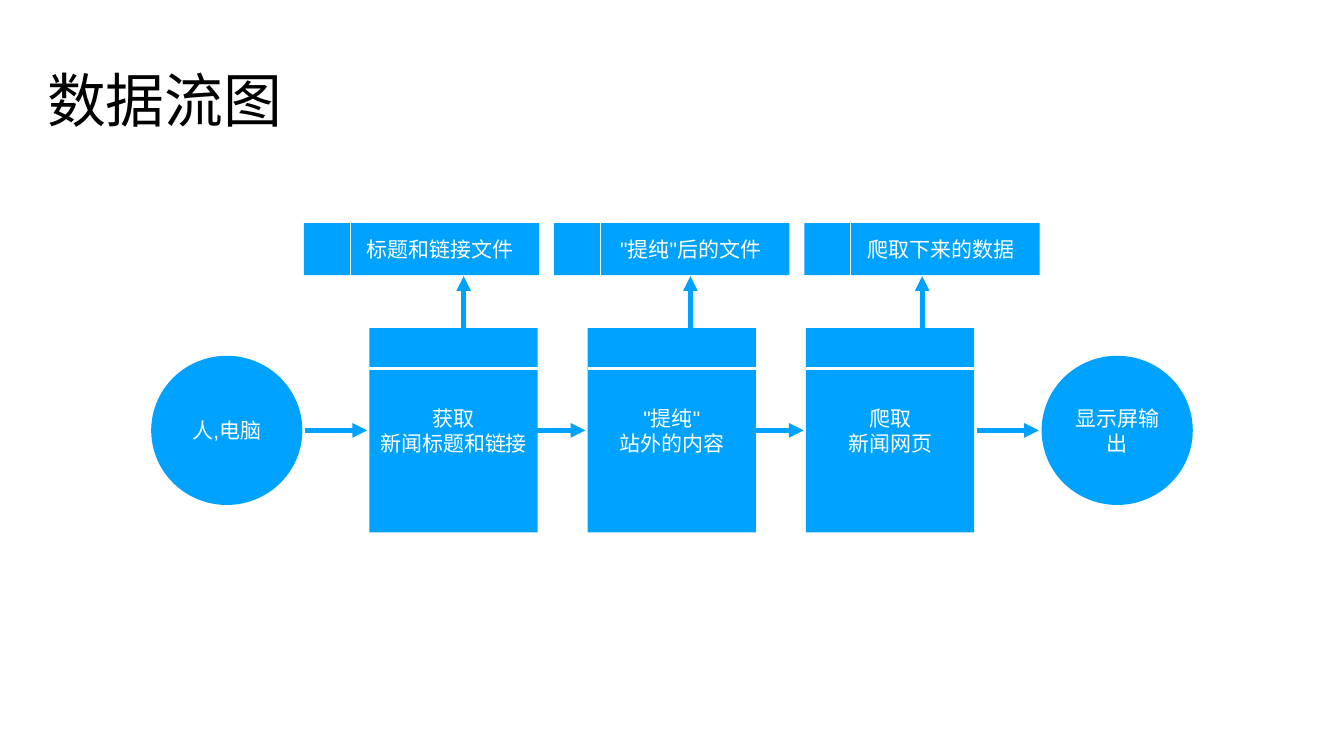
from lxml import etree
from pptx import Presentation
from pptx.dml.color import RGBColor
from pptx.enum.shapes import MSO_CONNECTOR, MSO_SHAPE
from pptx.enum.text import MSO_ANCHOR, MSO_AUTO_SIZE, PP_ALIGN
from pptx.oxml.ns import qn
from pptx.util import Cm, Pt

LINE = MSO_CONNECTOR.STRAIGHT
RECT, OVAL = MSO_SHAPE.RECTANGLE, MSO_SHAPE.OVAL
MIDDLE, CENTER = MSO_ANCHOR.MIDDLE, PP_ALIGN.CENTER
FIXED = MSO_AUTO_SIZE.NONE

COLORS = {"blue": "00A2FF", "white": "FFFFFF", "black": "000000"}
FONT = "Arial"
PAD = 0.2

STEPS = ["获取\n新闻标题和链接", "\"提纯\"\n站外的内容", "爬取\n新闻网页"]
FILES = ["标题和链接文件", "\"提纯\"后的文件", "爬取下来的数据"]
ENDS = [("人,电脑", 7.62), ("显示屏输出", 52.5)]
FLOWS = [15.37, 26.37, 37.37, 49.23]
SAVES = [23.37, 34.8, 46.48]


def color(name):
    """Return a palette colour."""
    return RGBColor.from_string(COLORS[name])


def write(shape, text, size, tint, left=PAD, wrap=True):
    """Write centred text into a shape."""
    frame = shape.text_frame
    frame.text = text
    frame.auto_size = FIXED
    frame.word_wrap = wrap
    frame.vertical_anchor = MIDDLE
    frame.margin_left = Cm(left)
    frame.margin_right = frame.margin_top = frame.margin_bottom = Cm(PAD)
    for para in frame.paragraphs:
        para.alignment = CENTER
        para.font.name = FONT
        para.font.size = Pt(size)
        para.font.color.rgb = color(tint)


def add_title(slide, text):
    """Place and fill the title."""
    title = slide.shapes.title
    title.left, title.top = Cm(2.16), Cm(2.69)
    title.width, title.height = Cm(12.29), Cm(4.57)
    write(title, text, 84, "black", wrap=False)


def add_block(slide, kind, text, x, y, w, h, left=PAD):
    """Add a blue shape with white text."""
    shape = slide.shapes.add_shape(kind, Cm(x), Cm(y), Cm(w), Cm(h))
    shape.shadow.inherit = False
    shape.fill.solid()
    shape.fill.fore_color.rgb = color("blue")
    shape.line.fill.background()
    write(shape, text, 30, "white", left)


def add_line(slide, x1, y1, x2, y2, tint, width):
    """Add a straight line without shadow."""
    line = slide.shapes.add_connector(LINE, Cm(x1), Cm(y1), Cm(x2), Cm(y2))
    line.line.color.rgb = color(tint)
    line.line.width = Pt(width)
    etree.SubElement(line._element.spPr, qn("a:effectLst"))
    return line


def add_arrow(slide, x1, y1, x2, y2):
    """Add a blue arrow."""
    line = add_line(slide, x1, y1, x2, y2, "blue", 7).line
    etree.SubElement(line._get_or_add_ln(), qn("a:tailEnd"), type="triangle")


def add_step(slide, text, x):
    """Add a process box with a header rule."""
    add_block(slide, RECT, text, x, 16.54, 8.48, 10.29)
    add_line(slide, x, 18.57, x + 8.48, 18.57, "white", 3)


def add_file(slide, text, x):
    """Add a data store with an index cell."""
    add_block(slide, RECT, text, x, 11.25, 11.86, 2.62, left=2.1)
    add_line(slide, x + 2.34, 13.87, x + 2.34, 11.25, "white", 2)


def main():
    """Build the data flow slide."""
    deck = Presentation()
    deck.slide_width, deck.slide_height = Cm(67.74), Cm(38.1)
    slide = deck.slides.add_slide(deck.slide_layouts[5])
    add_title(slide, "数据流图")
    for text, x in ENDS:
        add_block(slide, OVAL, text, x, 17.93, 7.62, 7.52)
    for i, (step, file) in enumerate(zip(STEPS, FILES)):
        add_step(slide, step, 18.62 + 11 * i)
        add_file(slide, file, 15.32 + 12.61 * i)
    for x in FLOWS:
        add_arrow(slide, x, 21.69, x + 3.13, 21.69)
    for x in SAVES:
        add_arrow(slide, x, 16.54, x, 13.92)
    deck.save("out.pptx")


if __name__ == "__main__":
    main()
